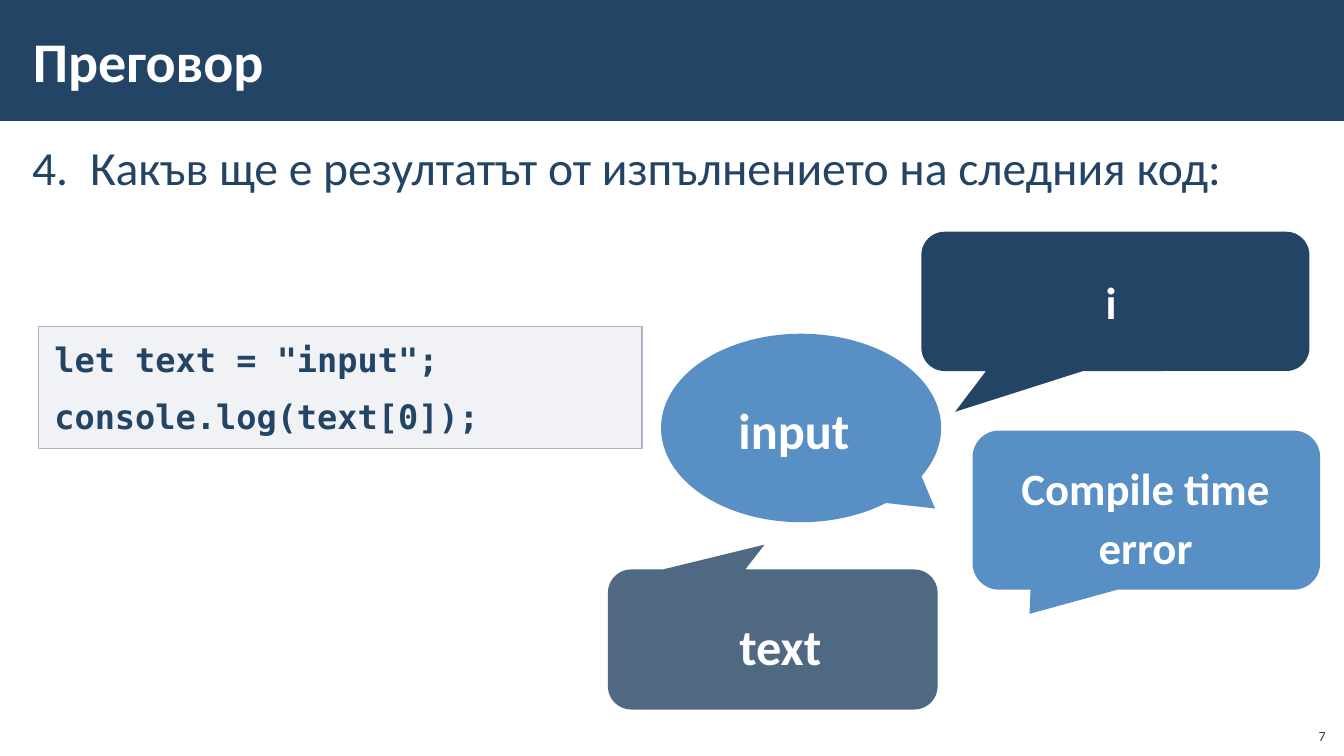
from lxml import etree
from pptx import Presentation
from pptx.dml.color import RGBColor
from pptx.enum.shapes import MSO_SHAPE
from pptx.enum.text import MSO_ANCHOR, MSO_AUTO_SIZE, PP_ALIGN
from pptx.oxml.ns import qn
from pptx.util import Cm, Pt

RECT = MSO_SHAPE.RECTANGLE
ROUND = MSO_SHAPE.ROUNDED_RECTANGULAR_CALLOUT
OVAL = MSO_SHAPE.OVAL_CALLOUT
TOP, MIDDLE, BOTTOM = MSO_ANCHOR.TOP, MSO_ANCHOR.MIDDLE, MSO_ANCHOR.BOTTOM
LEFT, CENTER, RIGHT = PP_ALIGN.LEFT, PP_ALIGN.CENTER, PP_ALIGN.RIGHT
FIXED = MSO_AUTO_SIZE.NONE

SANS, MONO = "Calibri", "DejaVu Sans Mono"
COLORS = {"navy": "234465", "blue": "588FC5", "white": "FFFFFF",
          "gray": "A3ABBC", "edge": "ADB4C3"}

# shape, fill, opacity, box, adjustments, text, size, label box, align, spacing, indent
CALLOUTS = [
    (ROUND, "blue", 100, (24.51, 10.85, 8.76, 4.01), (-0.336, 0.652, 0.167),
     "Compile time error", 32, (24.92, 11.18, 7.9, 3.45), CENTER, 1.1, 0),
    (OVAL, "blue", 100, (16.66, 8.41, 7.06, 4.75), (0.478, 0.427),
     "input", 36, (16.94, 9.75, 5.56, 2.13), LEFT, 1, 1.27),
    (ROUND, "navy", 100, (23.22, 5.84, 9.78, 3.51), (-0.413, 0.793, 0.167),
     "i", 32, (23.72, 6.5, 8.56, 2.03), CENTER, 1.1, 0),
    (ROUND, "navy", 80, (15.32, 14.35, 8.31, 3.53), (-0.025, -0.677, 0.167),
     "text", 36, (16.21, 15.04, 6.91, 2.21), CENTER, 1.1, 0),
]


def color(name):
    return RGBColor.from_string(COLORS[name])


def place(box):
    return [Cm(n) for n in box]


def add_block(shapes, kind, box, fill, alpha=100):
    block = shapes.add_shape(kind, *place(box))
    block.shadow.inherit = False
    block.fill.solid()
    block.fill.fore_color.rgb = color(fill)
    block.line.fill.background()
    if alpha < 100:
        tint = block.fill._xPr.find(qn("a:solidFill"))[0]
        etree.SubElement(tint, qn("a:alpha")).set("val", str(alpha * 1000))
    return block


def write(shape, text, size, tone, font=SANS, bold=True, align=LEFT,
          anchor=TOP, pad=(0.3, 0.1), lines=1, gap=0):
    frame = shape.text_frame
    frame.text = text
    frame.word_wrap = True
    frame.auto_size = FIXED
    frame.vertical_anchor = anchor
    frame.margin_left = frame.margin_right = Cm(pad[0])
    frame.margin_top = frame.margin_bottom = Cm(pad[1])
    for para in frame.paragraphs:
        para.alignment = align
        para.line_spacing = lines
        para.space_before = para.space_after = Pt(gap)
        for run in para.runs:
            run.font.name = font
            run.font.size = Pt(size)
            run.font.bold = bold
            run.font.color.rgb = color(tone)
    return frame


def number(para, start, indent):
    """Make the paragraph a numbered item with a hanging indent."""
    props = para._p.get_or_add_pPr()
    props.set("marL", str(Cm(indent)))
    props.set("indent", str(-Cm(indent)))
    mark = etree.SubElement(props, qn("a:buAutoNum"))
    mark.set("type", "arabicPeriod")
    mark.set("startAt", str(start))


def add_title(slide, text):
    add_block(slide.shapes, RECT, (0, 0, 33.87, 3.05), "navy")
    title = slide.shapes.title
    title.left, title.top, title.width, title.height = place((0.53, 0.28, 27, 2.46))
    write(title, text, 40, "white", anchor=MIDDLE)
    slide.shapes._spTree.append(title._element)  # lift above the band


def add_task(slide, text, start):
    box = slide.shapes.add_textbox(*place((0.51, 3.3, 32.79, 14.4)))
    frame = write(box, text, 34, "navy", bold=False, lines=1.05, gap=6)
    number(frame.paragraphs[0], start, 1.46)


def add_code(slide, text):
    block = add_block(slide.shapes, RECT, (0.97, 8.23, 15.21, 3.07), "gray", 15)
    block.line.color.rgb = color("edge")
    block.line.width = Pt(1)
    write(block, text, 24, "navy", MONO, pad=(0.4, 0.3), gap=6)


def add_callout(slide, kind, fill, alpha, box, adjust, text, size, spot,
                align, lines, indent):
    group = slide.shapes.add_group_shape()
    bubble = add_block(group.shapes, kind, box, fill, alpha)
    for i, value in enumerate(adjust):
        bubble.adjustments[i] = value
    label = group.shapes.add_textbox(*place(spot))
    frame = write(label, text, size, "white", align=align, pad=(0.4, 0.3), lines=lines)
    frame.margin_left += Cm(indent)


def add_page(slide, text):
    box = slide.shapes.add_textbox(*place((32.64, 18.08, 1.02, 0.81)))
    write(box, text, 10, "navy", bold=False, align=RIGHT, anchor=BOTTOM, pad=(0.25, 0.13))


def main():
    deck = Presentation()
    deck.slide_width, deck.slide_height = Cm(33.87), Cm(19.05)
    slide = deck.slides.add_slide(deck.slide_layouts[5])
    add_title(slide, "Преговор")
    add_task(slide, "Какъв ще е резултатът от изпълнението на следния код:", 4)
    add_code(slide, 'let text = "input";\nconsole.log(text[0]);')
    add_page(slide, "7")
    for callout in CALLOUTS:
        add_callout(slide, *callout)
    deck.save("out.pptx")


if __name__ == "__main__":
    main()
